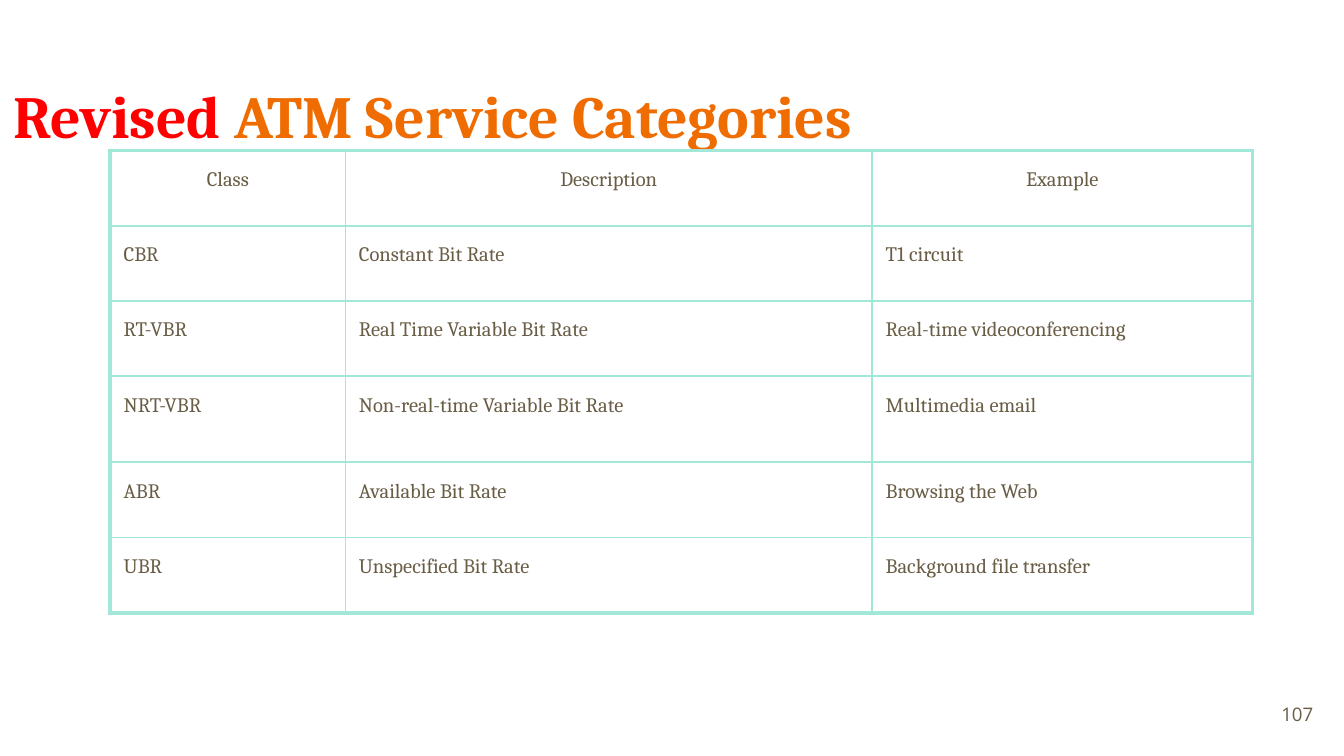
from pptx import Presentation
from pptx.util import Inches, Pt
from pptx.dml.color import RGBColor as Rgb
from pptx.enum.text import PP_ALIGN as Al, MSO_ANCHOR as Anchor
from pptx.oxml import parse_xml
from pptx.oxml.ns import nsdecls

# Content
TITLE = [("Revised", "red"), (" ATM Service Categories", "orange")]
PAGE = [("107", "ink")]
ROWS = [
    ("Class", "Description", "Example"),
    ("CBR", "Constant Bit Rate", "T1 circuit"),
    ("RT-VBR", "Real Time Variable Bit Rate", "Real-time videoconferencing"),
    ("NRT-VBR", "Non-real-time Variable Bit Rate", "Multimedia email"),
    ("ABR", "Available Bit Rate", "Browsing the Web"),
    ("UBR", "Unspecified Bit Rate", "Background file transfer"),
]
WIDE = 10
HIGH = WIDE * 9 / 16
WIDTHS = [1.75, 3.92, 2.83]
HEIGHTS = [0.56, 0.56, 0.56, 0.64, 0.56, 0.56]

THEME = {
    "red": "FF0000", "orange": "EF6C00", "ink": "695D46", "line": "A1E8D9",
    "serif": "Cambria", "sans": "Open Sans",
    "title": 32, "cell": 11, "page": 10,
    "thick": 2.25, "thin": 1,
}


def write(frame, runs, size, font="serif", bold=False, align=Al.LEFT,
          space=None, anchor=Anchor.TOP, pad=0.1):
    """Fill a text frame with (text, colour) runs."""
    frame.word_wrap = True
    frame.vertical_anchor = anchor
    frame.margin_left = frame.margin_right = Inches(0.1)
    frame.margin_top = frame.margin_bottom = Inches(pad)
    para = frame.paragraphs[0]
    para.alignment = align
    if space:
        para.line_spacing = space
    for text, tint in runs:
        run = para.add_run()
        run.text = text
        run.font.name = THEME[font]
        run.font.size = Pt(THEME[size])
        run.font.bold = bold
        run.font.color.rgb = Rgb.from_string(THEME[tint])


def border(cell, outer):
    """Draw the four cell edges; outer ones are thick."""
    props = cell._tc.get_or_add_tcPr()
    for i, (side, edge) in enumerate(outer.items()):
        wide = Pt(THEME["thick" if edge else "thin"])
        props.insert(i, parse_xml(
            f'<a:ln{side} {nsdecls("a")} w="{wide}"><a:solidFill>'
            f'<a:srgbClr val="{THEME["line"]}"/></a:solidFill></a:ln{side}>'))


deck = Presentation()
deck.slide_width, deck.slide_height = Inches(WIDE), Inches(HIGH)
slide = deck.slides.add_slide(deck.slide_layouts[6])


def box(*place):
    return slide.shapes.add_textbox(*map(Inches, place)).text_frame


# Page number and title
write(box(9.27, 5.1, 0.6, 0.43), PAGE, "page", font="sans",
      align=Al.RIGHT, anchor=Anchor.MIDDLE)
write(box(0, 0.49, 9.32, 0.77), TITLE, "title", bold=True)

# Table of service classes
table = slide.shapes.add_table(
    len(ROWS), len(WIDTHS), Inches(0.82), Inches(1.12),
    Inches(sum(WIDTHS)), Inches(sum(HEIGHTS))).table
table.first_row = table.horz_banding = False
for col, wide in zip(table.columns, WIDTHS):
    col.width = Inches(wide)
for row, high in zip(table.rows, HEIGHTS):
    row.height = Inches(high)

for r, row in enumerate(ROWS):
    for c, text in enumerate(row):
        cell = table.cell(r, c)
        cell.fill.background()
        cell.margin_left = cell.margin_right = Inches(0.1)
        cell.margin_top = cell.margin_bottom = Inches(0.04)
        write(cell.text_frame, [(text, "ink")], "cell", space=1.5,
              align=Al.LEFT if r else Al.CENTER, pad=0.04)
        border(cell, {"L": c == 0, "R": c == len(WIDTHS) - 1,
                      "T": r == 0, "B": r == len(ROWS) - 1})

deck.save("out.pptx")
